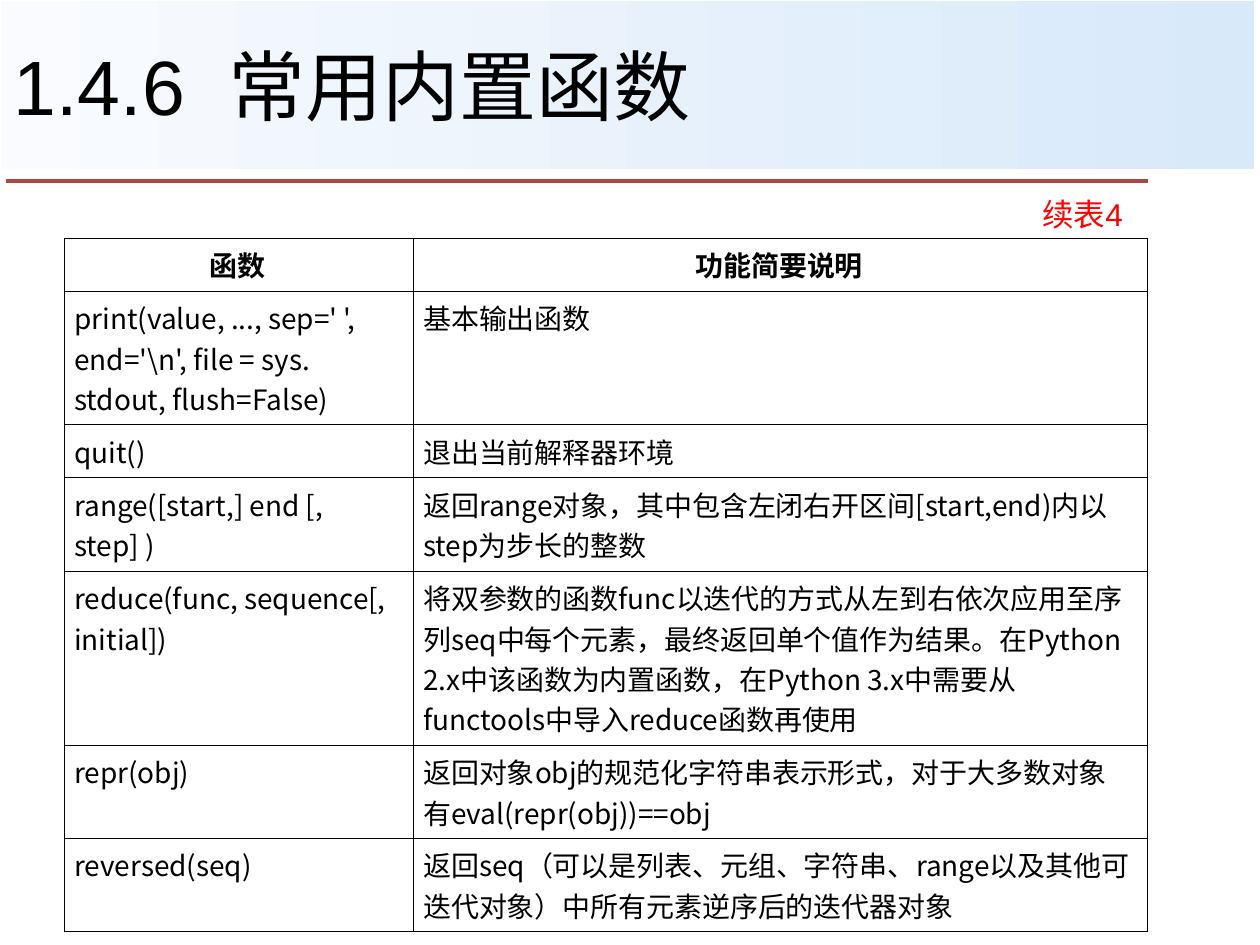
from pptx import Presentation
from pptx import util as u
from pptx.dml.color import RGBColor
from pptx.enum import shapes, text
from pptx.oxml.ns import qn
from lxml import etree

LATIN, CHINESE = "Arial", "Noto Sans CJK SC"
TABLE_LEFT, TABLE_TOP = 0.51, 1.89
COLUMN_WIDTHS = [2.77, 5.83]
LINE_HEIGHT, ROW_PADDING = 0.32, 0.1
LINES_PER_ROW = [1, 3, 1, 2, 4, 2, 2]
ROWS = [
    ("函数", "功能简要说明"),
    ("print(value, ..., sep=' ', end='\\n', file = sys. stdout, flush=False)", "基本输出函数"),
    ("quit()", "退出当前解释器环境"),
    ("range([start,] end [, step] )",
     "返回range对象，其中包含左闭右开区间[start,end)内以step为步长的整数"),
    ("reduce(func, sequence[, initial])",
     "将双参数的函数func以迭代的方式从左到右依次应用至序列seq中每个元素，最终返回单个值作为结果。"
     "在Python 2.x中该函数为内置函数，在Python 3.x中需要从functools中导入reduce函数再使用"),
    ("repr(obj)", "返回对象obj的规范化字符串表示形式，对于大多数对象有eval(repr(obj))==obj"),
    ("reversed(seq)",
     "返回seq（可以是列表、元组、字符串、range以及其他可迭代对象）中所有元素逆序后的迭代器对象"),
]


def color(value):
    return RGBColor.from_string(value)


def inches(*lengths):
    return [u.Inches(length) for length in lengths]


def write(frame, words, align=text.PP_ALIGN.LEFT, fill="000000", **formats):
    para = frame.paragraphs[0]
    para.alignment = align
    span = para.add_run()
    span.text = words
    for name, value in formats.items():
        setattr(span.font, name, value)
    span.font.color.rgb = color(fill)
    east_asian = etree.SubElement(span.font._element, qn("a:ea"))
    east_asian.set("typeface", CHINESE)


def add_title(page, words):
    title = page.shapes.title
    title.left, title.top, title.width, title.height = inches(0.01, 0.01, 9.94, 1.33)
    title.fill.gradient()
    title.fill.gradient_angle = 0
    for stop, value in zip(title.fill.gradient_stops, ("F9FBFE", "D8E9FA")):
        stop.color.rgb = color(value)
    frame = title.text_frame
    frame.auto_size = text.MSO_AUTO_SIZE.NONE
    frame.vertical_anchor = text.MSO_ANCHOR.MIDDLE
    write(frame, words, name=LATIN, size=u.Pt(44))


def add_rule(page):
    rule = page.shapes.add_connector(
        shapes.MSO_CONNECTOR.STRAIGHT, *inches(0.05, 1.44, 9.11, 1.44))
    rule.line.color.rgb = color("AC4744")
    rule.line.width = u.Pt(2.25)
    etree.SubElement(rule._element.spPr, qn("a:effectLst"))


def add_caption(page, words):
    box = page.shapes.add_textbox(*inches(7.57, 1.5, 1.44, 0.4))
    box.text_frame.word_wrap = True
    write(box.text_frame, words, text.PP_ALIGN.RIGHT, "FF0000",
          name=LATIN, size=u.Pt(18))


def add_borders(cell):
    properties = cell._tc.get_or_add_tcPr()
    for side in "LRTB":
        line = etree.SubElement(properties, qn(f"a:ln{side}"), w=str(u.Pt(0.45)))
        fill = etree.SubElement(line, qn("a:solidFill"))
        etree.SubElement(fill, qn("a:srgbClr"), val="080000")


def add_function_table(page):
    heights = [count * LINE_HEIGHT + ROW_PADDING for count in LINES_PER_ROW]
    area = inches(TABLE_LEFT, TABLE_TOP, sum(COLUMN_WIDTHS), sum(heights))
    table = page.shapes.add_table(len(ROWS), len(COLUMN_WIDTHS), *area).table
    table.first_row = table.horz_banding = False
    for column, width in zip(table.columns, COLUMN_WIDTHS):
        column.width = u.Inches(width)
    margins = {"margin_left": 0.08, "margin_right": 0.1,
               "margin_top": 0.05, "margin_bottom": 0.05}
    for index, (row, height) in enumerate(zip(table.rows, heights)):
        row.height = u.Inches(height)
        header = index == 0
        align = text.PP_ALIGN.CENTER if header else text.PP_ALIGN.LEFT
        for cell, words in zip(row.cells, ROWS[index]):
            for name, value in margins.items():
                setattr(cell, name, u.Inches(value))
            add_borders(cell)
            cell.fill.background()
            write(cell.text_frame, words, align,
                  name=CHINESE, size=u.Pt(16), bold=header)


def main():
    deck = Presentation()
    deck.slide_width, deck.slide_height = inches(10, 7.5)
    page = deck.slides.add_slide(deck.slide_layouts.get_by_name("Title Only"))

    # Heading band and rule
    add_title(page, "1.4.6  常用内置函数")
    add_rule(page)

    # Table with its continuation mark
    add_function_table(page)
    add_caption(page, "续表4")

    deck.save("out.pptx")


if __name__ == "__main__":
    main()
